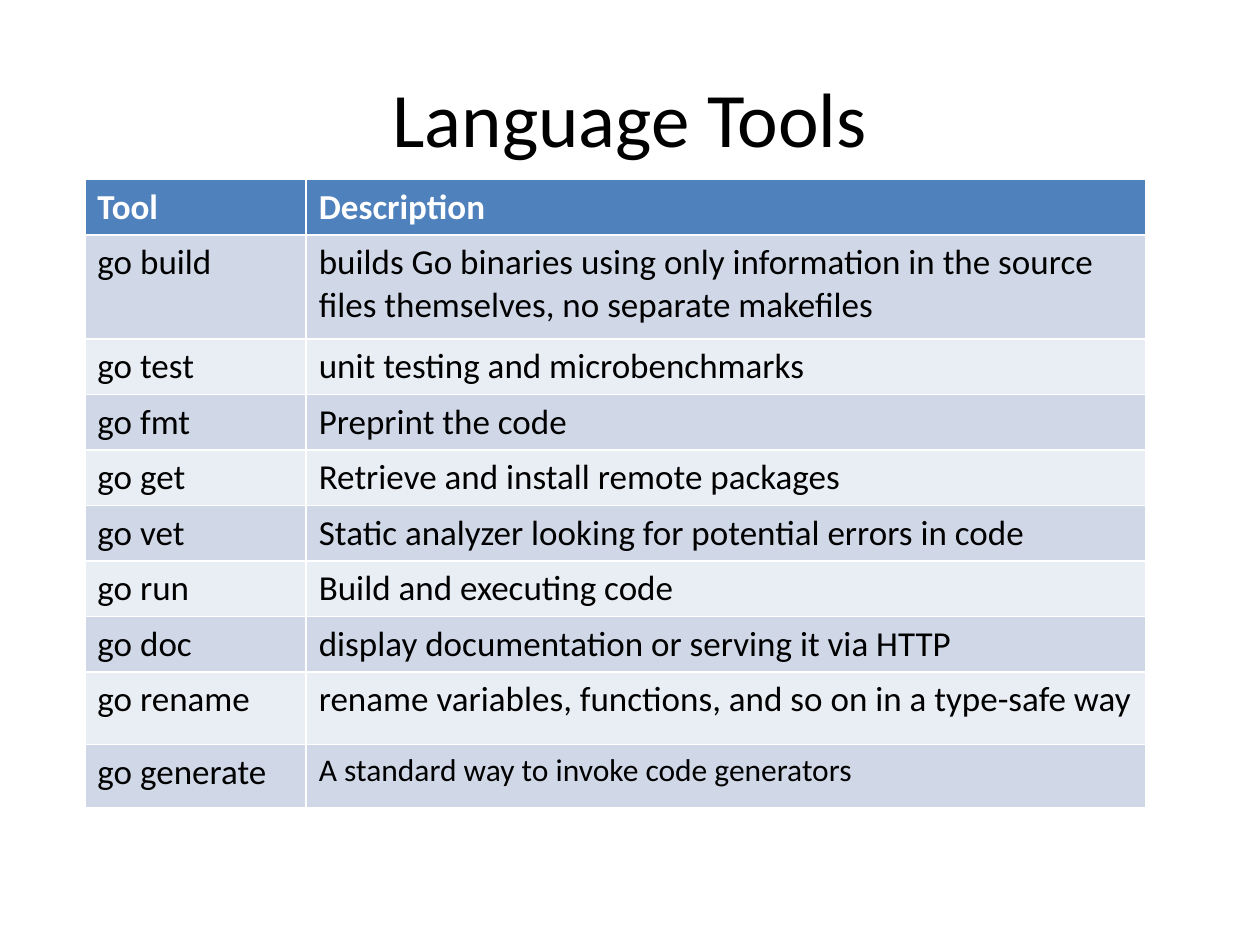
from pptx import Presentation
from pptx.dml.color import RGBColor as RGB
from pptx.enum.text import MSO_ANCHOR as Anchor, PP_ALIGN as Align
from pptx.util import Pt

COLORS = {
    "text": "000000",
    "header_text": "FFFFFF",
    "header": "4F81BD",
    "odd_row": "D0D8E8",
    "even_row": "E9EDF4",
}
FONT = "Calibri"

TOOLS = [
    ("Tool", "Description"),
    ("go build", "builds Go binaries using only information in the source "
                 "files themselves, no separate makefiles"),
    ("go test", "unit testing and microbenchmarks"),
    ("go fmt", "Preprint the code"),
    ("go get", "Retrieve and install remote packages"),
    ("go vet", "Static analyzer looking for potential errors in code"),
    ("go run", "Build and executing code"),
    ("go doc", "display documentation or serving it via HTTP"),
    ("go rename", "rename variables, functions, and so on in a type-safe way"),
    ("go generate", "A standard way to invoke code generators"),
]
COLUMN_WIDTHS = [126.5, 479.5]
ROW_HEIGHT = 31.7
TALL_ROWS = {"go build": 59.5, "go rename": 41.5, "go generate": 36}
SMALL_TEXT = {TOOLS[-1][1]: 18}


def add_text(paragraph, text, size, color, bold=False):
    run = paragraph.add_run()
    run.text = text
    run.font.name = FONT
    run.font.size = Pt(size)
    run.font.bold = bold
    run.font.color.rgb = RGB.from_string(COLORS[color])


deck = Presentation()
deck.slide_width, deck.slide_height = Pt(720), Pt(540)
slide = deck.slides.add_slide(deck.slide_layouts[5])

title = slide.shapes.title
title.left, title.top, title.width, title.height = Pt(36), Pt(21.6), Pt(648), Pt(90)
title.text_frame.vertical_anchor = Anchor.MIDDLE
heading = title.text_frame.paragraphs[0]
heading.alignment = Align.CENTER
add_text(heading, "Language Tools", 44, "text")

heights = [TALL_ROWS.get(tool, ROW_HEIGHT) for tool, description in TOOLS]
tools_table = slide.shapes.add_table(
    len(TOOLS), len(COLUMN_WIDTHS), Pt(48.5), Pt(102.5),
    Pt(sum(COLUMN_WIDTHS)), Pt(sum(heights))).table

for column, width in zip(tools_table.columns, COLUMN_WIDTHS):
    column.width = Pt(width)

for index, (row, height, entries) in enumerate(zip(tools_table.rows, heights, TOOLS)):
    row.height = Pt(height)
    is_header = index == 0
    band = "header" if is_header else "odd_row" if index % 2 else "even_row"
    for cell, entry in zip(row.cells, entries):
        cell.fill.solid()
        cell.fill.fore_color.rgb = RGB.from_string(COLORS[band])
        add_text(cell.text_frame.paragraphs[0], entry, SMALL_TEXT.get(entry, 20),
                 "header_text" if is_header else "text", is_header)

deck.save("out.pptx")
